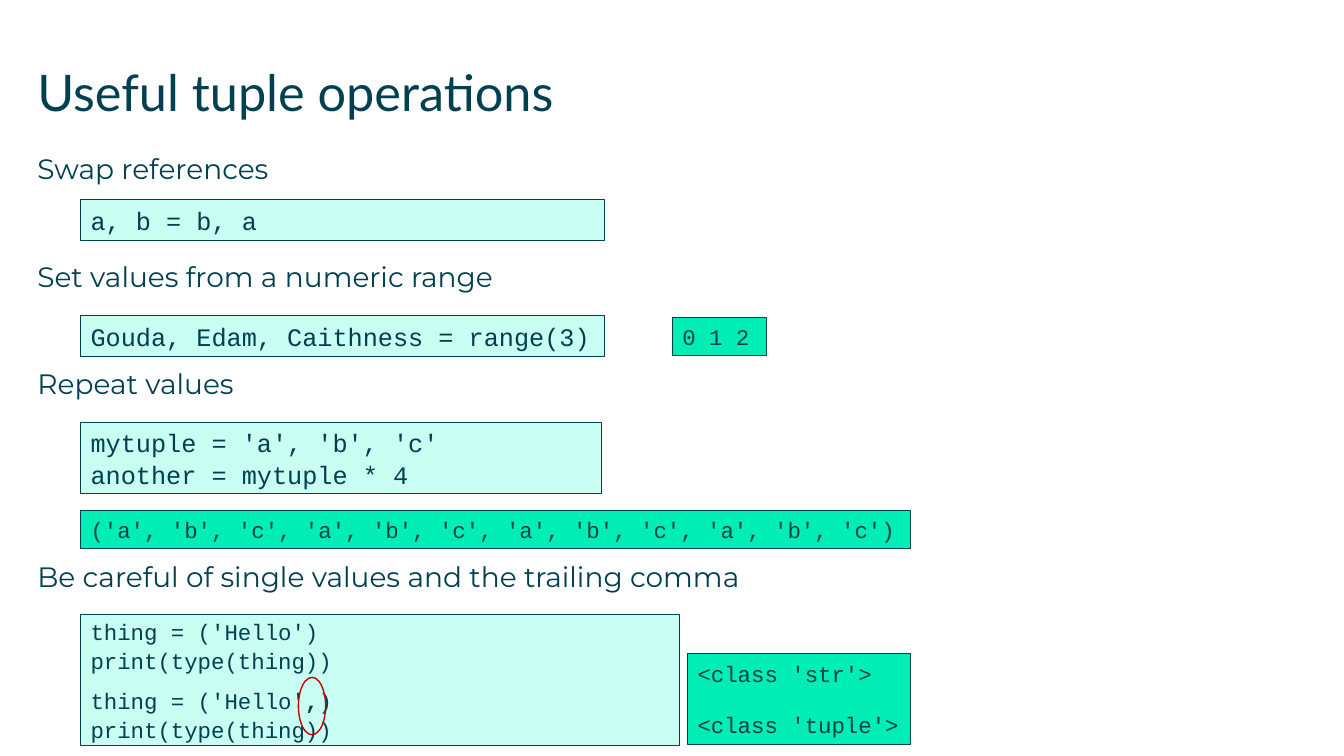
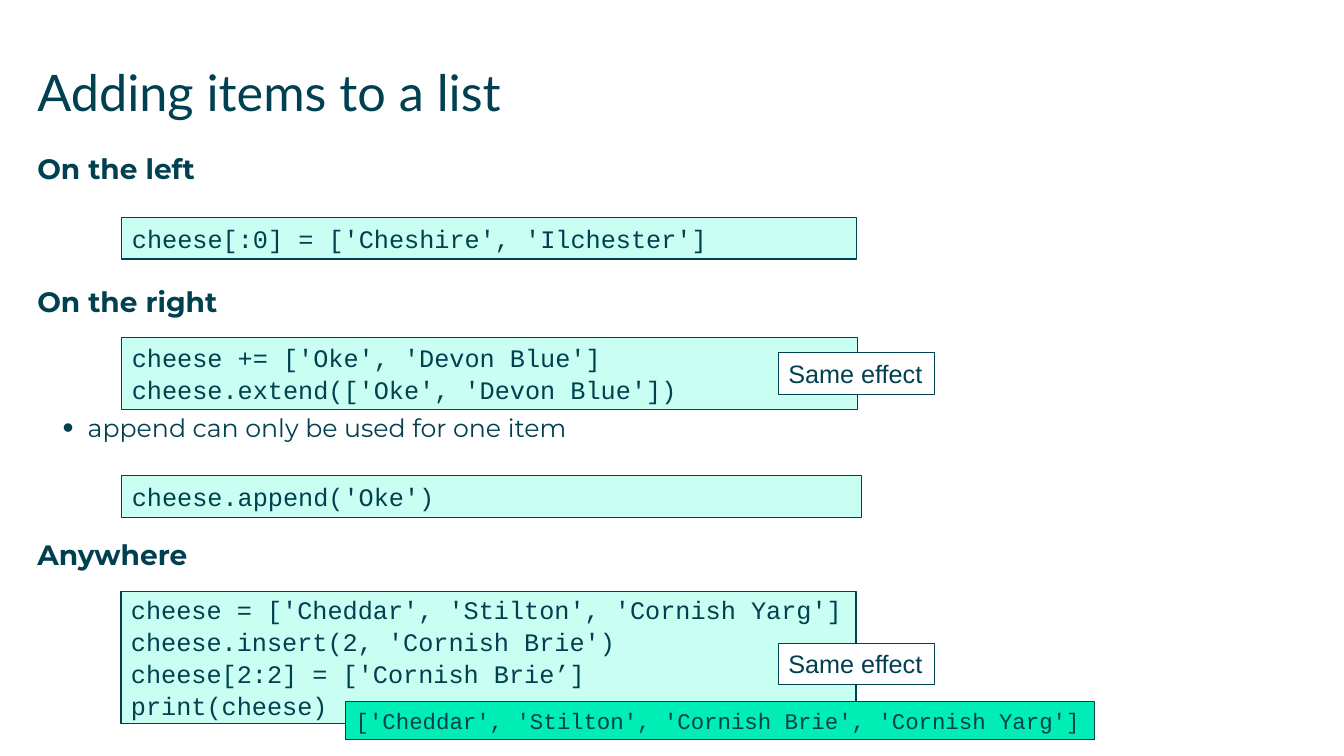
from dataclasses import dataclass

from lxml.etree import SubElement
from pptx import Presentation
from pptx.dml.color import RGBColor
from pptx.enum.shapes import MSO_SHAPE
from pptx.enum.text import MSO_ANCHOR, MSO_AUTO_SIZE, PP_ALIGN
from pptx.oxml.ns import qn
from pptx.util import Inches, Pt


@dataclass(frozen=True)
class Theme:
    """Colours, fonts and type sizes shared by all slides."""

    ink: RGBColor = RGBColor.from_string("004050")
    code_fill: RGBColor = RGBColor.from_string("C8FFF2")
    output_fill: RGBColor = RGBColor.from_string("00EDB5")
    note_fill: RGBColor = RGBColor.from_string("FFFFFF")
    marker: RGBColor = RGBColor.from_string("C80000")
    title_font: str = "Lato"
    body_font: str = "Montserrat"
    code_font: str = "Courier New"
    note_font: str = "Arial"
    title_size: int = 36
    heading_size: int = 20
    text_size: int = 18
    small_size: int = 16
    paragraph_gap: float = 6.5
    code_gap: float = 1.2


@dataclass(frozen=True)
class Line:
    """A line of box text; every second run is bold."""

    runs: tuple
    before: float = Theme.code_gap


THEME = Theme()


def set_attributes(target, values):
    """Set each named attribute of the target."""
    for name, value in values.items():
        setattr(target, name, value)


def place(shape, left, top, width, height):
    """Move and size a shape, in inches."""
    set_attributes(shape, {
        "left": Inches(left), "top": Inches(top),
        "width": Inches(width), "height": Inches(height),
    })


def add_run(paragraph, text, font, size, bold=False):
    """Add a run of formatted text."""
    run = paragraph.add_run()
    run.text = text
    set_attributes(run.font, {"name": font, "size": Pt(size), "bold": bold})
    run.font.color.rgb = THEME.ink


def prepare_layout(presentation):
    """Give the layout the shared title and body frames."""
    layout = presentation.slide_layouts.get_by_name("Title and Content")
    title, body = list(layout.placeholders)[:2]
    place(title, 0.37, 0.61, 12.6, 0.88)
    place(body, 0.37, 1.5, 12.6, 5.7)
    for placeholder in (title, body):
        set_attributes(placeholder.text_frame, {
            "margin_left": 0, "margin_top": 0,
            "margin_right": 0, "margin_bottom": 0,
            "vertical_anchor": MSO_ANCHOR.TOP,
            "auto_size": MSO_AUTO_SIZE.NONE,
        })
    return layout


def add_slide(presentation, layout, title):
    """Add a slide and fill its title."""
    slide = presentation.slides.add_slide(layout)
    paragraph = slide.shapes.title.text_frame.paragraphs[0]
    paragraph.alignment = PP_ALIGN.LEFT
    add_run(paragraph, title, THEME.title_font, THEME.title_size)
    return slide


def next_paragraph(frame):
    """Return the first paragraph if unused, or else a new one."""
    first = frame.paragraphs[0]
    return frame.add_paragraph() if first.runs else first


def add_body_paragraph(slide, text, before, size, bold=False, level=0):
    """Add a spaced paragraph to the body and return its properties."""
    paragraph = next_paragraph(slide.placeholders[1].text_frame)
    set_attributes(paragraph, {
        "level": level, "alignment": PP_ALIGN.LEFT,
        "space_before": Pt(before), "space_after": Pt(THEME.paragraph_gap),
    })
    add_run(paragraph, text, THEME.body_font, size, bold)
    return paragraph._p.get_or_add_pPr()


def add_heading(slide, text, before=0, bold=False):
    """Add an unbulleted heading to the body."""
    properties = add_body_paragraph(slide, text, before, THEME.heading_size, bold)
    properties.set("marL", "0")
    properties.set("indent", "0")
    SubElement(properties, qn("a:buNone"))


def add_bullet(slide, text, before):
    """Add a bulleted point to the body."""
    properties = add_body_paragraph(slide, text, before, THEME.text_size, level=1)
    properties.set("marL", str(Inches(0.5)))
    properties.set("indent", str(Inches(-0.25)))
    SubElement(properties, qn("a:buSzPct"), val="125000")
    SubElement(properties, qn("a:buFont"), typeface="Arial")
    SubElement(properties, qn("a:buChar"), char="•")


def add_box(slide, bounds, lines, fill, font, size):
    """Add an outlined box of left-aligned lines."""
    shape = slide.shapes.add_shape(MSO_SHAPE.RECTANGLE, 0, 0, 0, 0)
    place(shape, *bounds)
    shape.shadow.inherit = False
    shape.fill.solid()
    shape.fill.fore_color.rgb = fill
    shape.line.color.rgb = THEME.ink
    shape.line.width = Pt(0.75)
    frame = shape.text_frame
    set_attributes(frame, {"word_wrap": True, "vertical_anchor": MSO_ANCHOR.MIDDLE})
    for item in lines:
        line = item if isinstance(item, Line) else Line((item,))
        paragraph = next_paragraph(frame)
        set_attributes(paragraph, {
            "alignment": PP_ALIGN.LEFT, "space_before": Pt(line.before),
        })
        for index, text in enumerate(line.runs):
            add_run(paragraph, text, font, size, bold=index % 2 == 1)


def add_code(slide, bounds, *lines, size=THEME.text_size):
    """Add a box of source code."""
    add_box(slide, bounds, lines, THEME.code_fill, THEME.code_font, size)


def add_output(slide, bounds, *lines):
    """Add a box of program output."""
    add_box(slide, bounds, lines, THEME.output_fill, THEME.code_font, THEME.small_size)


def add_note(slide, top):
    """Add a note saying that statements are equivalent."""
    add_box(slide, (7.72, top, 1.55, 0.41), ["Same effect"],
            THEME.note_fill, THEME.note_font, THEME.text_size)


def add_marker(slide, bounds):
    """Ring a detail with an unfilled ellipse."""
    shape = slide.shapes.add_shape(MSO_SHAPE.OVAL, 0, 0, 0, 0)
    place(shape, *bounds)
    shape.shadow.inherit = False
    shape.fill.background()
    shape.line.color.rgb = THEME.marker
    shape.line.width = Pt(1)


def build_tuple_slide(presentation, layout):
    """Build the slide on tuple operations."""
    slide = add_slide(presentation, layout, "Useful tuple operations")
    add_heading(slide, "Swap references")
    add_heading(slide, "Set values from a numeric range", before=46.5)
    add_heading(slide, "Repeat values", before=46.5)
    add_heading(slide, "Be careful of single values and the trailing comma", before=107)
    add_code(slide, (0.8, 1.98, 5.2, 0.41), "a, b = b, a")
    add_code(slide, (0.8, 4.19, 5.17, 0.71),
             "mytuple = 'a', 'b', 'c'", "another = mytuple * 4")
    add_code(slide, (0.8, 3.13, 5.2, 0.41), "Gouda, Edam, Caithness = range(3)")
    add_output(slide, (6.67, 3.15, 0.93, 0.38), "0 1 2")
    add_output(slide, (0.8, 5.06, 8.23, 0.38),
               "('a', 'b', 'c', 'a', 'b', 'c', 'a', 'b', 'c', 'a', 'b', 'c')")
    add_code(slide, (0.8, 6.1, 5.94, 1.3),
             "thing = ('Hello')", "print(type(thing))",
             Line(("thing = ('Hello'", ",", ")"), before=9.6),
             "print(type(thing))", size=THEME.small_size)
    add_marker(slide, (2.96, 6.72, 0.27, 0.57))
    add_output(slide, (6.82, 6.48, 2.21, 0.91),
               "<class 'str'>", Line(("<class 'tuple'>",), before=17))


def build_list_slide(presentation, layout):
    """Build the slide on adding items to a list."""
    slide = add_slide(presentation, layout, "Adding items to a list")
    add_heading(slide, "On the left", bold=True)
    add_heading(slide, "On the right", before=65, bold=True)
    add_bullet(slide, "append can only be used for one item", before=60.5)
    add_heading(slide, "Anywhere", before=61, bold=True)
    add_code(slide, (1.21, 3.35, 7.3, 0.71),
             "cheese += ['Oke', 'Devon Blue']",
             "cheese.extend(['Oke', 'Devon Blue'])")
    add_code(slide, (1.21, 2.16, 7.29, 0.41), "cheese[:0] = ['Cheshire', 'Ilchester']")
    add_note(slide, 3.5)
    add_code(slide, (1.21, 4.72, 7.34, 0.41), "cheese.append('Oke')")
    add_code(slide, (1.2, 5.87, 7.29, 1.31),
             "cheese = ['Cheddar', 'Stilton', 'Cornish Yarg']",
             "cheese.insert(2, 'Cornish Brie')",
             "cheese[2:2] = ['Cornish Brie’]",
             "print(cheese)")
    add_output(slide, (3.43, 6.96, 7.43, 0.38),
               "['Cheddar', 'Stilton', 'Cornish Brie', 'Cornish Yarg']")
    add_note(slide, 6.38)


def main():
    """Build and save the presentation."""
    presentation = Presentation()
    set_attributes(presentation, {
        "slide_width": Inches(13.33), "slide_height": Inches(7.5),
    })
    layout = prepare_layout(presentation)
    build_tuple_slide(presentation, layout)
    build_list_slide(presentation, layout)
    presentation.save("out.pptx")


if __name__ == "__main__":
    main()
